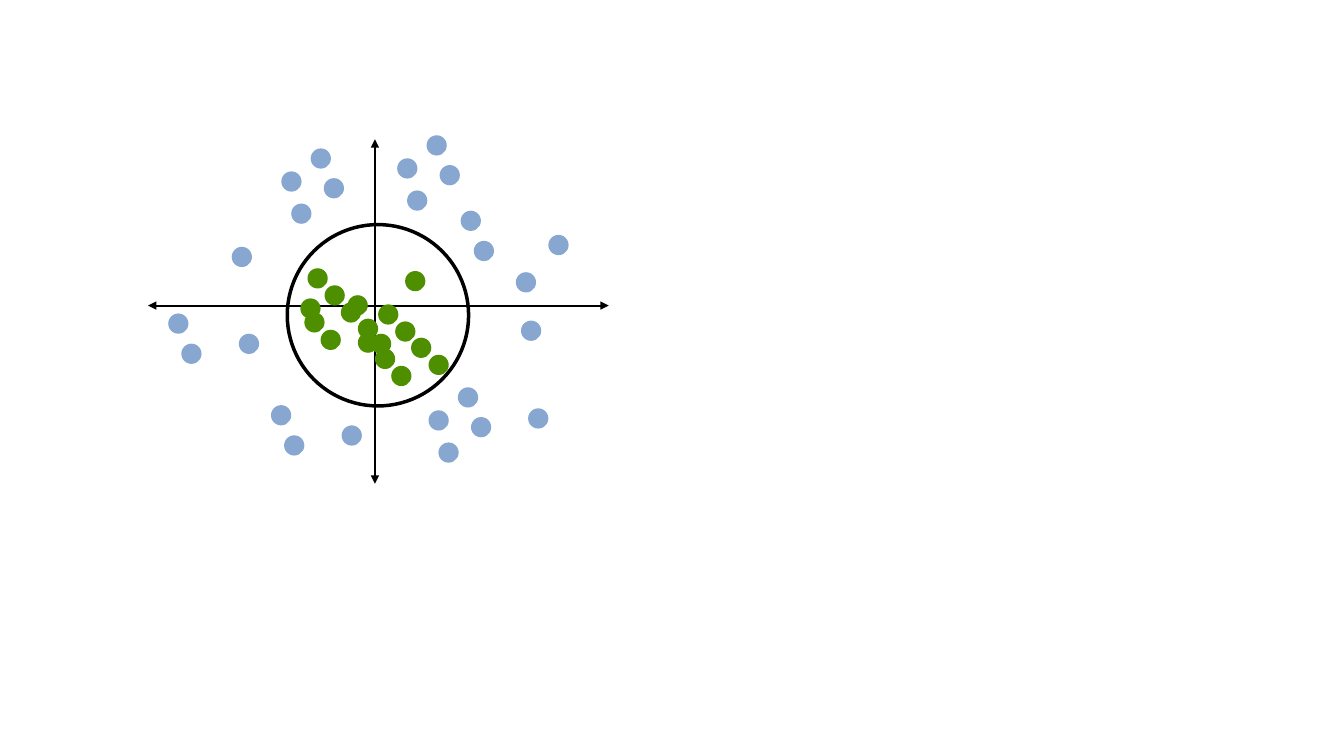
from dataclasses import dataclass

from lxml.etree import SubElement
from pptx import Presentation
from pptx.dml.color import RGBColor
from pptx.enum.shapes import MSO_CONNECTOR, MSO_SHAPE
from pptx.oxml.ns import qn
from pptx.util import Cm, Pt


@dataclass(frozen=True)
class Theme:
    ink: RGBColor = RGBColor(0x00, 0x00, 0x00)
    inside: RGBColor = RGBColor(0x4E, 0x8F, 0x00)
    outside: RGBColor = RGBColor(0x87, 0xA7, 0xD0)
    axis_width: float = 1.5
    ring_width: float = 2.5


THEME = Theme()
DOT = 0.51

# All positions are in centimetres, from the top left of the slide.
AXES = [((9.45, 12.19), (9.45, 3.51)), ((3.73, 7.7), (15.34, 7.7))]
RING = (7.24, 5.66, 4.57)

INSIDE_DOTS = [
    (8.76, 7.44), (9.02, 8.38), (9.53, 7.67), (10.21, 6.83), (9.45, 8.79),
    (9.96, 8.1), (9.35, 8.41), (9.86, 9.22), (10.36, 8.51), (10.8, 8.94),
    (7.75, 6.76), (7.67, 7.87), (8.18, 7.19), (7.57, 7.52), (8.08, 8.31),
    (8.59, 7.62), (9.02, 8.03),
]
LONE_DOTS = [
    (13.31, 10.29), (13.82, 5.92), (11.94, 6.07), (13, 6.86),
    (11.61, 5.31), (13.13, 8.08), (5.84, 6.22),
]
FOUR = [(0, 0), (1.07, 0.17), (0.25, 0.81), (0.74, -0.58)]
FOUR_ORIGINS = [(10.8, 10.34), (7.09, 4.32), (10.01, 3.99)]
THREE = [(0, 0), (0.33, 0.76), (1.78, 0.51)]
THREE_ORIGINS = [(4.24, 7.9), (6.83, 10.21)]


def repeat_cluster(offsets, origins):
    return [(x + dx, y + dy) for x, y in origins for dx, dy in offsets]


def set_line(line, width):
    line.color.rgb = THEME.ink
    line.width = Pt(width)


def add_axis(slide, start, end):
    """Draw a line with an arrowhead at both ends."""
    axis = slide.shapes.add_connector(
        MSO_CONNECTOR.STRAIGHT, *(Cm(v) for v in (*start, *end)))
    set_line(axis.line, THEME.axis_width)
    sp_pr = axis.element.spPr
    for tag in ("a:headEnd", "a:tailEnd"):
        SubElement(sp_pr.find(qn("a:ln")), qn(tag), type="triangle")
    SubElement(sp_pr, qn("a:effectLst"))


def add_circle(slide, left, top, size):
    sp = slide.shapes.add_shape(
        MSO_SHAPE.OVAL, Cm(left), Cm(top), Cm(size), Cm(size))
    sp.shadow.inherit = False
    return sp


def add_dots(slide, positions, color):
    for left, top in positions:
        dot = add_circle(slide, left, top, DOT)
        dot.fill.solid()
        dot.fill.fore_color.rgb = color
        dot.line.fill.background()


def add_ring(slide):
    ring = add_circle(slide, *RING)
    ring.fill.background()
    set_line(ring.line, THEME.ring_width)


def main():
    prs = Presentation()
    prs.slide_width, prs.slide_height = Cm(33.87), Cm(19.05)
    slide = prs.slides.add_slide(prs.slide_layouts[6])
    for start, end in AXES:
        add_axis(slide, start, end)
    add_dots(slide, INSIDE_DOTS, THEME.inside)
    outside_dots = (LONE_DOTS + repeat_cluster(FOUR, FOUR_ORIGINS)
                    + repeat_cluster(THREE, THREE_ORIGINS))
    add_dots(slide, outside_dots, THEME.outside)
    add_ring(slide)
    prs.save("out.pptx")


if __name__ == "__main__":
    main()
